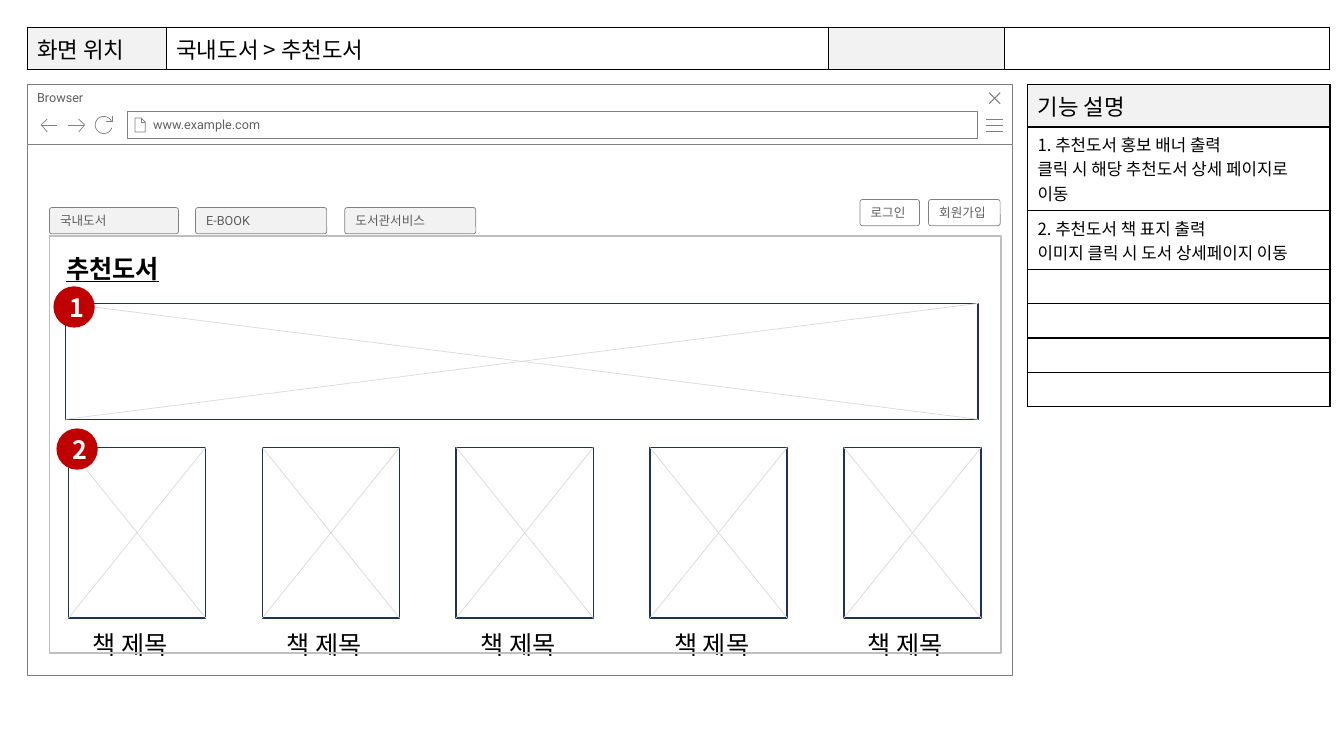
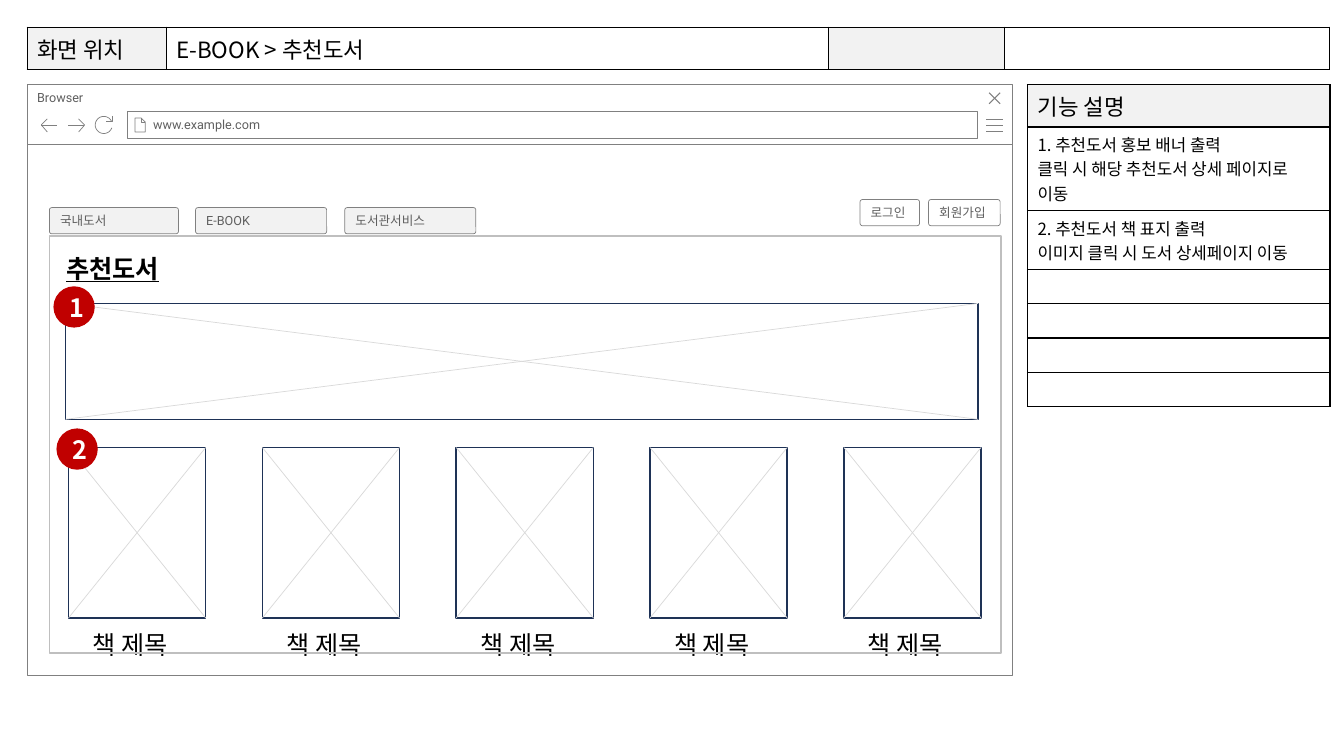
"""Build two wireframe slides of a library site's recommended books pages."""
from math import cos, radians, sin

from lxml import etree
from pptx import Presentation
from pptx.dml.color import RGBColor
from pptx.enum.shapes import MSO_CONNECTOR, MSO_SHAPE
from pptx.enum.text import MSO_ANCHOR, PP_ALIGN
from pptx.oxml.ns import qn
from pptx.util import Inches, Pt

RECT = MSO_SHAPE.RECTANGLE
ROUND = MSO_SHAPE.ROUNDED_RECTANGLE
OVAL = MSO_SHAPE.OVAL
STRAIGHT = MSO_CONNECTOR.STRAIGHT
TOP = MSO_ANCHOR.TOP
MIDDLE = MSO_ANCHOR.MIDDLE
LEFT = PP_ALIGN.LEFT
CENTER = PP_ALIGN.CENTER

BLACK = RGBColor(0x00, 0x00, 0x00)
WHITE = RGBColor(0xFF, 0xFF, 0xFF)
PALE = RGBColor(0xF2, 0xF2, 0xF2)
LIGHT = RGBColor(0xD9, 0xD9, 0xD9)
SILVER = RGBColor(0xBF, 0xBF, 0xBF)
GRAY = RGBColor(0x80, 0x80, 0x80)
INK = RGBColor(0x5F, 0x5F, 0x5F)
NAVY = RGBColor(0x1E, 0x32, 0x56)
RED = RGBColor(0xC0, 0x00, 0x00)

KOREAN = "Noto Sans CJK KR"
ROBOTO = "Roboto"

SMALL = ({"name": ROBOTO, "size": Pt(9)}, INK)
NOTE = ({"name": KOREAN, "size": Pt(12)}, BLACK)
HEAD = ({"name": KOREAN, "size": Pt(16)}, BLACK)
BOOK = ({"name": KOREAN, "size": Pt(18)}, BLACK)
TITLE = ({"name": KOREAN, "size": Pt(18), "bold": True, "underline": True}, BLACK)
BADGE = ({"name": KOREAN, "size": Pt(18), "bold": True}, WHITE)

PATHS = ["국내도서 > 추천도서", "E-BOOK > 추천도서"]
NOTES = [
    "기능 설명",
    "1. 추천도서 홍보 배너 출력\v클릭 시 해당 추천도서 상세 페이지로 이동",
    "2. 추천도서 책 표지 출력\v이미지 클릭 시 도서 상세페이지 이동",
    "", "", "", "",
]
TABS = [(0.49, 1.28, "국내도서"), (1.94, 1.3, "E-BOOK"), (3.42, 1.3, "도서관서비스")]
BUTTONS = [(8.53, 0.59, "로그인"), (9.21, 0.71, "회원가입")]
BADGES = [(0.53, 2.84, "1"), (0.56, 4.25, "2")]

ARC = [(1.03 + 0.085 * cos(radians(a)), 1.24 + 0.085 * sin(radians(a)))
       for a in range(20, 336, 15)]
ICONS = [
    (0.5, [[(9.78, y), (9.95, y)] for y in (1.18, 1.24, 1.3)]),
    (0.75, [[(9.92, 0.92), (9.81, 1.03)], [(9.81, 0.92), (9.92, 1.03)]]),
    (0.5, [[(1.4, 1.17), (1.4, 1.21), (1.44, 1.21)],
           [(1.34, 1.17), (1.34, 1.31), (1.44, 1.31), (1.44, 1.21),
            (1.4, 1.17), (1.34, 1.17)]]),
    (0.5, [[(0.47, 1.31), (0.41, 1.24), (0.47, 1.18)], [(0.41, 1.24), (0.57, 1.24)]]),
    (0.5, [[(0.78, 1.18), (0.84, 1.24), (0.78, 1.31)], [(0.83, 1.24), (0.67, 1.24)]]),
    (0.5, [[(1.11, 1.15), (1.11, 1.2), (1.05, 1.2)], ARC]),
]


def inch(*sizes):
    """Turn numbers into lengths."""
    return [Inches(size) for size in sizes]


def write(frame, text, style, align=LEFT):
    """Put styled text in the first paragraph of a frame."""
    para = frame.paragraphs[0]
    para.text = text
    para.alignment = align
    values, color = style
    for run in para.runs:
        for name, value in values.items():
            setattr(run.font, name, value)
        run.font.color.rgb = color
        east = etree.SubElement(run.font._element, qn("a:ea"))
        east.set("typeface", KOREAN)


def paint(shape, fill, line, width):
    """Set the fill and outline of a shape."""
    shape.shadow.inherit = False
    for part, color in ((shape.fill, fill), (shape.line.fill, line)):
        if color is None:
            part.background()
        else:
            part.solid()
            part.fore_color.rgb = color
    if line is not None:
        shape.line.width = Pt(width)


def box(slide, kind, at, fill=None, line=GRAY, width=0.5):
    """Add a preset shape."""
    shape = slide.shapes.add_shape(kind, *inch(*at))
    paint(shape, fill, line, width)
    return shape


def label(shape, text, style, anchor=MIDDLE, align=LEFT, wrap=True, left=0.1):
    """Write text inside a shape."""
    frame = shape.text_frame
    values = {"word_wrap": wrap, "vertical_anchor": anchor, "margin_left": Inches(left)}
    for name, value in values.items():
        setattr(frame, name, value)
    write(frame, text, style, align)


def words(slide, at, text, style, wrap=True):
    """Add a text box."""
    label(slide.shapes.add_textbox(*inch(*at)), text, style, TOP, wrap=wrap)


def icon(slide, width, strokes):
    """Draw an outline icon from open strokes."""
    first, *rest = strokes
    pen = slide.shapes.build_freeform(*inch(*first[0]))
    pen.add_line_segments([inch(*dot) for dot in first[1:]], close=False)
    for stroke in rest:
        pen.move_to(*inch(*stroke[0]))
        pen.add_line_segments([inch(*dot) for dot in stroke[1:]], close=False)
    paint(pen.convert_to_shape(), None, GRAY, width)


def image(slide, x, y, wide, high):
    """Add a crossed frame that stands for an image."""
    box(slide, RECT, (x, y, wide, high), line=NAVY, width=1)
    for start, end in ((x, x + wide), (x + wide, x)):
        line = slide.shapes.add_connector(STRAIGHT, *inch(start, y, end, y + high))
        line.line.color.rgb = LIGHT
        line.line.width = Pt(0.5)
        etree.SubElement(line._element.spPr, qn("a:effectLst"))


def border(cell):
    """Draw thin black edges around a cell."""
    props = cell._tc.get_or_add_tcPr()
    for side in ("lnL", "lnR", "lnT", "lnB"):
        edge = etree.SubElement(props, qn("a:" + side), w=str(Pt(1)))
        fill = etree.SubElement(edge, qn("a:solidFill"))
        etree.SubElement(fill, qn("a:srgbClr"), val=str(BLACK))


def grid(slide, x, y, cols, rows, cells):
    """Add a table from rows of (text, style, fill) cells."""
    at = inch(x, y, sum(cols), sum(rows))
    table = slide.shapes.add_table(len(rows), len(cols), *at).table
    table.first_row = table.horz_banding = False
    for col, size in zip(table.columns, cols):
        col.width = Inches(size)
    for row, size, line in zip(table.rows, rows, cells):
        row.height = Inches(size)
        for cell, (text, style, fill) in zip(row.cells, line):
            border(cell)
            if fill is None:
                cell.fill.background()
            else:
                cell.fill.solid()
                cell.fill.fore_color.rgb = fill
            if text:
                write(cell.text_frame, text, style)
            else:
                end = cell.text_frame.paragraphs[0]._p.get_or_add_endParaRPr()
                end.set("sz", "1200")


def browser(slide):
    """Draw the browser window."""
    box(slide, RECT, (0.27, 1.43, 9.77, 5.27), WHITE)
    bar = box(slide, RECT, (0.27, 0.84, 9.77, 0.59), WHITE)
    label(bar, "Browser", SMALL, TOP)
    field = box(slide, RECT, (1.26, 1.11, 8.43, 0.26), WHITE)
    label(field, "www.example.com", SMALL, left=0.26)
    for width, strokes in ICONS:
        icon(slide, width, strokes)


def share(slide, layout):
    """Move all shapes of a slide to its layout."""
    for shape in list(slide.shapes):
        layout.shapes._spTree.append(shape._element)


def tables(slide, route):
    """Add the location bar and the feature notes."""
    notes = [[(text, NOTE if i else HEAD, None if i else PALE)]
             for i, text in enumerate(NOTES)]
    grid(slide, 10.19, 0.84, [3], [0.42, 0.83, 0.58] + [0.34] * 4, notes)
    place = [("화면 위치", HEAD, PALE), (route, HEAD, None),
             ("", HEAD, PALE), ("", HEAD, None)]
    grid(slide, 0.27, 0.27, [1.38, 6.57, 1.74, 3.23], [0.42], [place])


def button(slide, x, y, wide, text, fill, wrap):
    """Add a rounded button or tab."""
    shape = box(slide, ROUND, (x, y, wide, 0.26), fill)
    shape.adjustments[0] = 0.09
    label(shape, text, SMALL, wrap=wrap)


def page(slide, route):
    """Fill one slide."""
    tables(slide, route)
    words(slide, (0.56, 2.46, 1.21, 0.4), "추천도서", TITLE, wrap=False)
    for i in range(5):
        x = 0.68 + i * (8.37 - 0.68) / 4
        image(slide, x, 4.44, 1.36, 1.69)
        words(slide, (x + 0.14, 6.19, 1.09, 0.4), "책 제목", BOOK)
    image(slide, 0.65, 3.01, 9.05, 1.15)
    for x, wide, text in BUTTONS:
        button(slide, x, 1.98, wide, text, WHITE, False)
    for x, wide, text in TABS:
        button(slide, x, 2.06, wide, text, PALE, True)
    box(slide, RECT, (0.49, 2.34, 9.44, 4.14), line=SILVER, width=1)
    for x, y, text in BADGES:
        dot = box(slide, OVAL, (x, y, 0.41, 0.41), RED, None)
        label(dot, text, BADGE, align=CENTER)


def main():
    """Build and save the deck."""
    deck = Presentation()
    deck.slide_width, deck.slide_height = inch(13.33, 7.5)
    blank = deck.slide_layouts[6]
    slides = [deck.slides.add_slide(blank) for _ in PATHS]
    browser(slides[0])
    share(slides[0], blank)
    for slide, route in zip(slides, PATHS):
        page(slide, route)
    deck.save("out.pptx")


if __name__ == "__main__":
    main()
